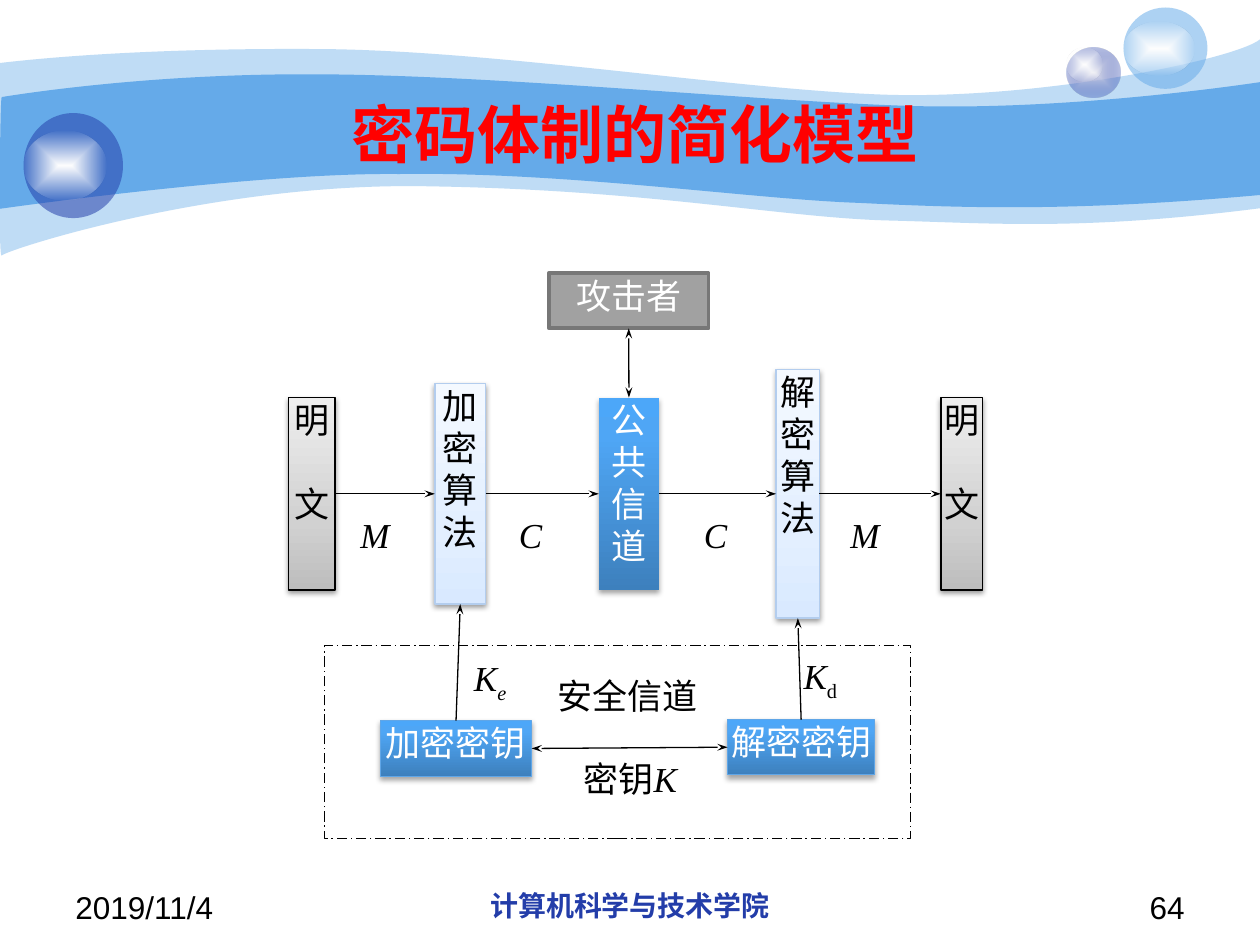
import pptx
import pptx.dml.color
import pptx.enum.dml
import pptx.enum.shapes
import pptx.enum.text
import pptx.oxml
import pptx.oxml.ns
import pptx.util

Pt = pptx.util.Pt
KIND = pptx.enum.shapes.MSO_SHAPE
ALIGN = pptx.enum.text.PP_ALIGN
ANCHOR = pptx.enum.text.MSO_ANCHOR
NS = 'xmlns:a="http://schemas.openxmlformats.org/drawingml/2006/main"'
SERIF = "Times New Roman"
TIGHT = (1.4, 0.7)
LOOSE = (7.2, 3.6)
MID = 282.2  # centre line of the message flow

# Gradient stops as (position, colour, opacity), and look of each node kind:
# stops, line, text colour, shadow opacity, shadow distance
GLOW = [(0, "FFFFFF", 100), (100, "FFFFFF", 0)]
GREY = [(0, "BDBDBD", 100), (35, "D1D1D1", 100), (100, "EEEEEE", 100)]
PALE = [(0, "D9E9FF", 100), (35, "E3EFFF", 100), (100, "F4F9FF", 100)]
BLUE = [(0, "3D80BD", 100), (80, "4FA6F5", 100), (100, "4CA7F9", 100)]
PLAIN = (GREY, "000000", "000000", 38, 1.6)
CODER = (PALE, "B3CDEE", "000000", 38, 1.6)
OPEN = (BLUE, None, "FFFFFF", 35, 1.8)
KEY = (BLUE, "60A6E7", "FFFFFF", 35, 1.8)

# Wave outlines: pairs are line ends, sixes are Bezier curves
BACK = [(0, 36), (17, 34, 77, 27.5, 178, 28), (278, 28, 414, 50.5, 503, 54),
        (592, 57.5, 706, 34, 720, 22.5), (720, 119),
        (618, 132, 567, 127.5, 508, 126), (448, 124.5, 371, 108.5, 247, 106.5),
        (124, 103.5, 3, 143, 1, 146), (-1, 150, 0, 54, 0, 36)]
FRONT = [(1, 55.5), (1.5, 55.5, 79, 42, 178.5, 42.5),
         (278, 42.5, 428, 57.5, 517, 60.5), (605.5, 63.5, 703, 49.5, 720, 47),
         (720, 111.5), (614, 121, 551, 119, 491, 116),
         (431, 114, 322, 98, 228, 99.5), (146, 98.5, -1.5, 119.5, -1, 119.5),
         (0, 119.5, 0, 55.5, 1, 55.5)]


def color(code):
    return pptx.dml.color.RGBColor.from_string(code)


def xml(text):
    return pptx.oxml.parse_xml(text.replace(">", f" {NS}>", 1))


def tint(code, alpha):
    clear = f'<a:alpha val="{alpha * 1000}"/>' if alpha < 100 else ""
    return f'<a:srgbClr val="{code}">{clear}</a:srgbClr>'


def fill(shape, code, alpha=100):
    shape.fill.solid()
    shape.fill.fore_color.rgb = color(code)
    if alpha < 100:
        tone = next(shape.element.spPr.iter(pptx.oxml.ns.qn("a:srgbClr")))
        tone.append(xml(f'<a:alpha val="{alpha * 1000}"></a:alpha>'))


def blend(shape, stops, round_off=False):
    marks = "".join(f'<a:gs pos="{pos * 1000}">{tint(code, alpha)}</a:gs>'
                    for pos, code, alpha in stops)
    way = '<a:lin ang="16200000" scaled="0"/>'
    if round_off:
        way = ('<a:path path="shape"><a:fillToRect l="50000" t="50000" '
               'r="50000" b="50000"/></a:path>')
    shape.fill.background()
    props = shape.element.spPr
    props.replace(props.find(pptx.oxml.ns.qn("a:noFill")),
                  xml(f"<a:gradFill><a:gsLst>{marks}</a:gsLst>{way}</a:gradFill>"))


def edge(shape, code, width=0.75):
    if code is None:
        shape.line.fill.background()
        return
    shape.line.color.rgb = color(code)
    shape.line.width = Pt(width)


def shade(shape, alpha, dist):
    effects = shape.element.spPr.find(pptx.oxml.ns.qn("a:effectLst"))
    effects.append(xml(
        f'<a:outerShdw blurRad="{Pt(3.1)}" dist="{Pt(dist)}" dir="5400000" '
        f'rotWithShape="0">{tint("000000", alpha)}</a:outerShdw>'))


def shape(slide, kind, *place):
    item = slide.shapes.add_shape(kind, *map(Pt, place))
    item.shadow.inherit = False
    return item


def run(para, text, size, font, code, bold=False, slant=False, base=0):
    piece = para.add_run()
    piece.text = text
    face = piece.font
    face.size, face.name = Pt(size), font
    face.bold, face.italic = bold, slant
    face.color.rgb = color(code)
    if base:
        piece._r.get_or_add_rPr().set("baseline", str(base * 1000))


def frame(item, pad, anchor=ANCHOR.TOP):
    body = item.text_frame
    body.word_wrap = True
    body.vertical_anchor = anchor
    body.margin_left = body.margin_right = Pt(pad[0])
    body.margin_top = body.margin_bottom = Pt(pad[1])
    return body


def wave(slide, steps, alpha):
    pen = slide.shapes.build_freeform(*map(Pt, steps[0]), scale=1.0)
    pen.add_line_segments([tuple(map(Pt, s[-2:])) for s in steps[1:]], close=True)
    item = pen.convert_to_shape()
    item.shadow.inherit = False
    # Bend the straight segments into curves
    lines = list(item.element.spPr.iter(pptx.oxml.ns.qn("a:lnTo")))
    for line, step in zip(lines, steps[1:]):
        if len(step) == 6:
            dots = "".join(
                f'<a:pt x="{Pt(x) - item.left}" y="{Pt(y) - item.top}"/>'
                for x, y in zip(step[::2], step[1::2]))
            line.getparent().replace(
                line, xml(f"<a:cubicBezTo>{dots}</a:cubicBezTo>"))
    fill(item, "65AAE9", alpha)
    edge(item, None)


def ball(slide, *place):
    item = shape(slide, KIND.OVAL, *place)
    edge(item, None)
    return item


def note(slide, place, text, size, code, align, bold=False, anchor=ANCHOR.TOP):
    body = frame(slide.shapes.add_textbox(*map(Pt, place)), LOOSE, anchor)
    para = body.paragraphs[0]
    para.alignment = align
    run(para, text, size, "Arial", code, bold)


def label(slide, place, pad, *parts):
    item = shape(slide, KIND.RECTANGLE, *place)
    fill(item, "FFFFFF")
    edge(item, "FFFFFF")
    para = frame(item, pad).paragraphs[0]
    para.alignment = ALIGN.JUSTIFY
    for text, slant, base in parts:
        run(para, text, 20, SERIF, "000000", slant=slant, base=base)


def write(item, text, code, gap=0):
    body = frame(item, TIGHT)
    for n, line in enumerate(text.split("\n")):
        para = body.add_paragraph() if n else body.paragraphs[0]
        para.alignment = ALIGN.CENTER
        if n and gap:
            para.space_before = Pt(gap)
        run(para, line, 20, SERIF, code)


def node(slide, place, text, look, gap=0):
    stops, line, code, alpha, dist = look
    item = shape(slide, KIND.RECTANGLE, *place)
    blend(item, stops)
    edge(item, line)
    shade(item, alpha, dist)
    write(item, text, code, gap)
    return item


def join(slide, start, side, end, goal, both=False):
    link = slide.shapes.add_connector(
        pptx.enum.shapes.MSO_CONNECTOR.STRAIGHT, 0, 0, 0, 0)
    link.begin_connect(start, side)
    link.end_connect(end, goal)
    edge(link, "000000")
    line = link.line._get_or_add_ln()
    for tip in ("headEnd", "tailEnd") if both else ("tailEnd",):
        line.append(xml(f'<a:{tip} type="stealth" w="sm" len="med"></a:{tip}>'))
    link.element.spPr.append(xml("<a:effectLst></a:effectLst>"))


def main():
    deck = pptx.Presentation()
    deck.slide_width, deck.slide_height = Pt(720), Pt(540)
    slide = deck.slides.add_slide(deck.slide_layouts[6])

    # Banner waves and glossy balls
    wave(slide, BACK, 41)
    wave(slide, FRONT, 100)
    for orb, stops in (((609.5, 27, 31, 29), [(0, "E1E2ED", 100), (100, "233DA9", 31)]),
                       ((609.5, 27, 20.5, 19.5), GLOW)):
        blend(ball(slide, *orb), stops, True)
    for orb, code, shine in (
            ((642, 4.3, 48, 46.5), "65AAE9", (642, 12.2, 40.3, 31)),
            ((13.5, 64.6, 56.8, 60), "233DA9", (13.5, 74.5, 47.5, 40.3))):
        fill(ball(slide, *orb), code, 53)
        blend(ball(slide, *shine), GLOW, True)

    # Title and footer
    note(slide, (72, 54, 582, 44.6), "密码体制的简化模型", 36, "FF0000",
         ALIGN.CENTER, True, ANCHOR.MIDDLE)
    note(slide, (36, 504, 168, 25), "2019/11/4", 18, "000000", ALIGN.LEFT)
    note(slide, (246, 504, 228, 25), "计算机科学与技术学院", 16, "233DA9",
         ALIGN.CENTER, True)
    note(slide, (516, 504, 168, 25), "64", 18, "000000", ALIGN.RIGHT)

    # Secure channel area
    zone = shape(slide, KIND.RECTANGLE, 185.6, 368.8, 334.8, 110.2)
    fill(zone, "FFFFFF")
    edge(zone, "000000")
    zone.line.dash_style = pptx.enum.dml.MSO_LINE.LONG_DASH_DOT

    # Labels
    label(slide, (457.8, 373.4, 42, 32), TIGHT, ("K", True, 0), ("d", False, -25))
    label(slide, (269.4, 374.6, 42, 32), TIGHT, ("K", True, 0), ("e", True, -25))
    label(slide, (317, 384.5, 84, 32), TIGHT, ("安全信道", False, 0))
    label(slide, (332, 432, 63, 32), TIGHT, ("密钥", False, 0), ("K", True, 0))
    for text, left, width in (("M", 478.8, 51), ("C", 395.2, 25),
                              ("C", 289.4, 40), ("M", 198.9, 42)):
        label(slide, (left, 290, width, 47.5), LOOSE, (text, True, 0))

    # Attacker
    spy = shape(slide, KIND.RECTANGLE, 313.6, 156, 91.4, 31.6)
    fill(spy, "A1A1A1")
    edge(spy, "777777", 2)
    write(spy, "攻击者", "FFFFFF")

    # Message flow, centred on one line
    flow = [node(slide, (left, MID - tall / 2, width, tall), text, look, gap)
            for left, width, tall, text, look, gap in (
                (164.9, 26.6, 110, "明\n文", PLAIN, 24),
                (248.5, 29, 126, "加密算法", CODER, 0),
                (342.2, 34.4, 110, "公共信\n道", OPEN, 0),
                (443.5, 24.8, 142, "解密算法", CODER, 0),
                (537.7, 23.8, 110, "明\n文", PLAIN, 24))]

    # Keys
    lock = node(slide, (217.4, 411.8, 86.4, 31.8), "加密密钥", KEY)
    free = node(slide, (415.8, 411.2, 84, 31.6), "解密密钥", KEY)

    # Arrows
    join(slide, spy, 2, flow[2], 0, True)
    for start, end in zip(flow, flow[1:]):
        join(slide, start, 3, end, 1)
    join(slide, lock, 0, flow[1], 2)
    join(slide, free, 0, flow[3], 2)
    join(slide, lock, 3, free, 1, True)

    deck.save("out.pptx")


if __name__ == "__main__":
    main()
